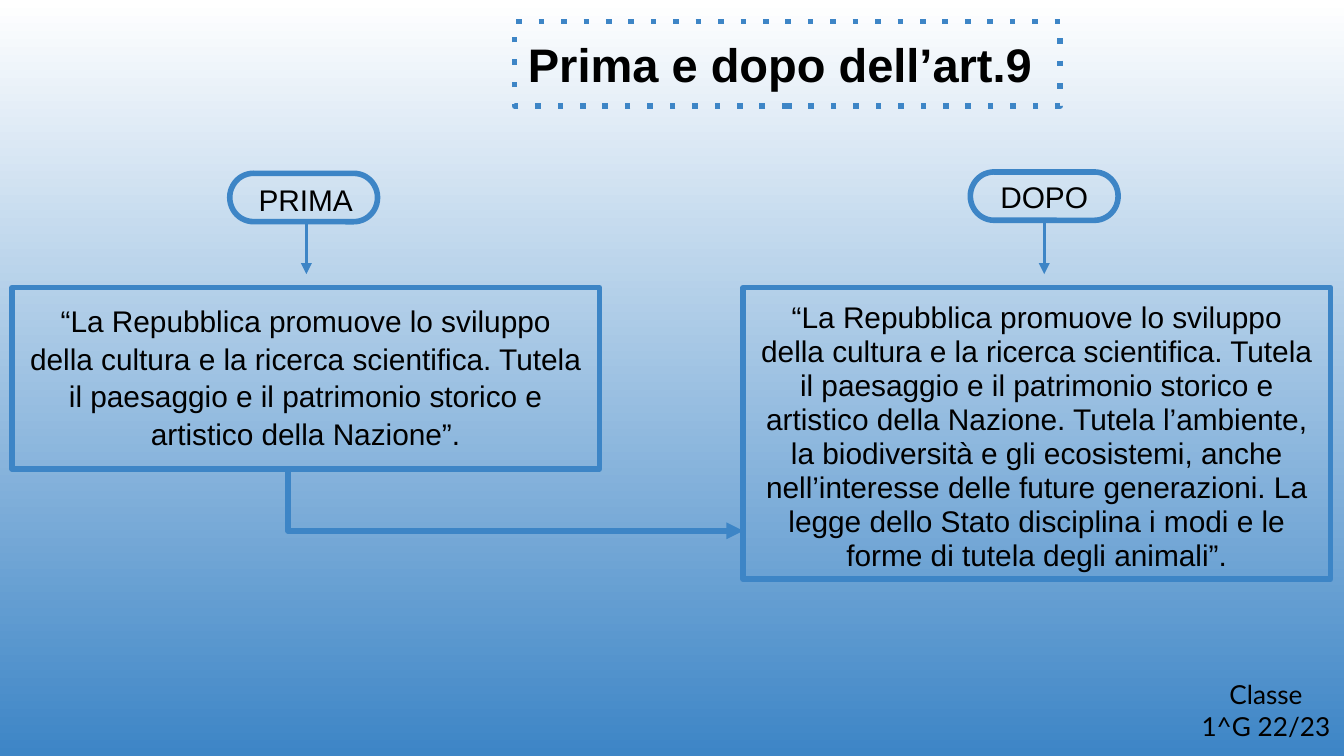
from lxml import etree
from pptx import Presentation
from pptx.dml.color import RGBColor
from pptx.enum import shapes, text
from pptx.oxml import ns
from pptx.util import Inches, Pt

BLUE = RGBColor(0x3D, 0x85, 0xC6)
WHITE = RGBColor(0xFF, 0xFF, 0xFF)
BLACK = RGBColor(0, 0, 0)

ARTICLE = (
    "“La Repubblica promuove lo sviluppo della cultura e la ricerca scientifica. "
    "Tutela il paesaggio e il patrimonio storico e artistico della Nazione"
)
AMENDMENT = (
    ". Tutela l’ambiente, la biodiversità e gli ecosistemi, anche nell’interesse "
    "delle future generazioni. La legge dello Stato disciplina i modi e le forme "
    "di tutela degli animali"
)


def set_background(slide):
    fill = slide.background.fill
    fill.gradient()
    fill.gradient_angle = 270
    for stop, color in zip(fill.gradient_stops, (WHITE, BLUE)):
        stop.color.rgb = color


def style_line(line, width):
    line.color.rgb = BLUE
    line.width = Pt(width)


def add_text(slide, box, content, size=16, font="Arial", bold=False,
             align=text.PP_ALIGN.CENTER, anchor=text.MSO_ANCHOR.TOP):
    shape = slide.shapes.add_textbox(*map(Inches, box))
    frame = shape.text_frame
    frame.word_wrap = True
    frame.vertical_anchor = anchor
    frame.margin_left = frame.margin_right = Inches(0.1)
    frame.margin_top = frame.margin_bottom = Inches(0.1)
    frame.text = content
    paragraph = frame.paragraphs[0]
    paragraph.alignment = align
    run_font = paragraph.runs[0].font
    run_font.name, run_font.size, run_font.bold = font, Pt(size), bold
    run_font.color.rgb = BLACK
    return shape


def add_title(slide, content):
    title = add_text(slide, (3.83, 0.16, 4.06, 0.63), content, 25.2, bold=True,
                     align=text.PP_ALIGN.LEFT, anchor=text.MSO_ANCHOR.MIDDLE)
    style_line(title.line, 3)
    line_xml = title.line._get_or_add_ln()
    etree.SubElement(line_xml, ns.qn("a:prstDash"), val="dot")


def add_article(slide, left, height, content, spacing):
    article = add_text(slide, (left, 2.14, 4.37, height), content)
    style_line(article.line, 3)
    paragraph = article.text_frame.paragraphs[0]
    paragraph.line_spacing = spacing
    paragraph.space_after = Pt(12)


def add_arrow(slide, kind, start, end, width):
    arrow = slide.shapes.add_connector(kind, *map(Inches, (*start, *end)))
    style_line(arrow.line, width)
    etree.SubElement(arrow.line._get_or_add_ln(), ns.qn("a:tailEnd"), type="triangle")
    etree.SubElement(arrow._element.spPr, ns.qn("a:effectLst"))
    return arrow


def add_elbow_arrow(slide, start, end):
    """Arrow that drops straight down, then runs right."""
    arrow = add_arrow(slide, shapes.MSO_CONNECTOR.ELBOW, start, end, 3)
    geometry = arrow._element.spPr.find(ns.qn("a:prstGeom"))
    guides = geometry.find(ns.qn("a:avLst"))
    if guides is None:
        guides = etree.SubElement(geometry, ns.qn("a:avLst"))
    etree.SubElement(guides, ns.qn("a:gd"), name="adj1", fmla="val 100")


def add_capsule(slide, left, top):
    capsule = slide.shapes.add_shape(
        shapes.MSO_SHAPE.FLOWCHART_TERMINATOR,
        *map(Inches, (left, top, 1.1, 0.36)))
    capsule.shadow.inherit = False
    capsule.fill.background()
    style_line(capsule.line, 3)


def main():
    presentation = Presentation()
    presentation.slide_width = Inches(10)
    presentation.slide_height = presentation.slide_width * 9 // 16
    slide = presentation.slides.add_slide(presentation.slide_layouts[6])
    set_background(slide)

    add_text(slide, (8.84, 4.95, 1.16, 0.67), "Classe 1^G 22/23", 14, "Lato")
    add_title(slide, "Prima e dopo dell’art.9")
    add_article(slide, 0.09, 1.35, ARTICLE + "”.", 1.05)
    add_article(slide, 5.53, 2.17, ARTICLE + AMENDMENT + "”.", 0.95)
    add_text(slide, (0.09, 1.25, 4.37, 0.47), "PRIMA")
    add_text(slide, (6.27, 1.23, 3, 0.47), "DOPO")

    add_elbow_arrow(slide, (2.14, 3.49), (5.53, 3.95))
    for x in (2.28, 7.77):
        add_arrow(slide, shapes.MSO_CONNECTOR.STRAIGHT, (x, 1.64), (x, 2.04), 1.5)
    add_capsule(slide, 1.71, 1.29)
    add_capsule(slide, 7.22, 1.28)

    presentation.save("out.pptx")


if __name__ == "__main__":
    main()
